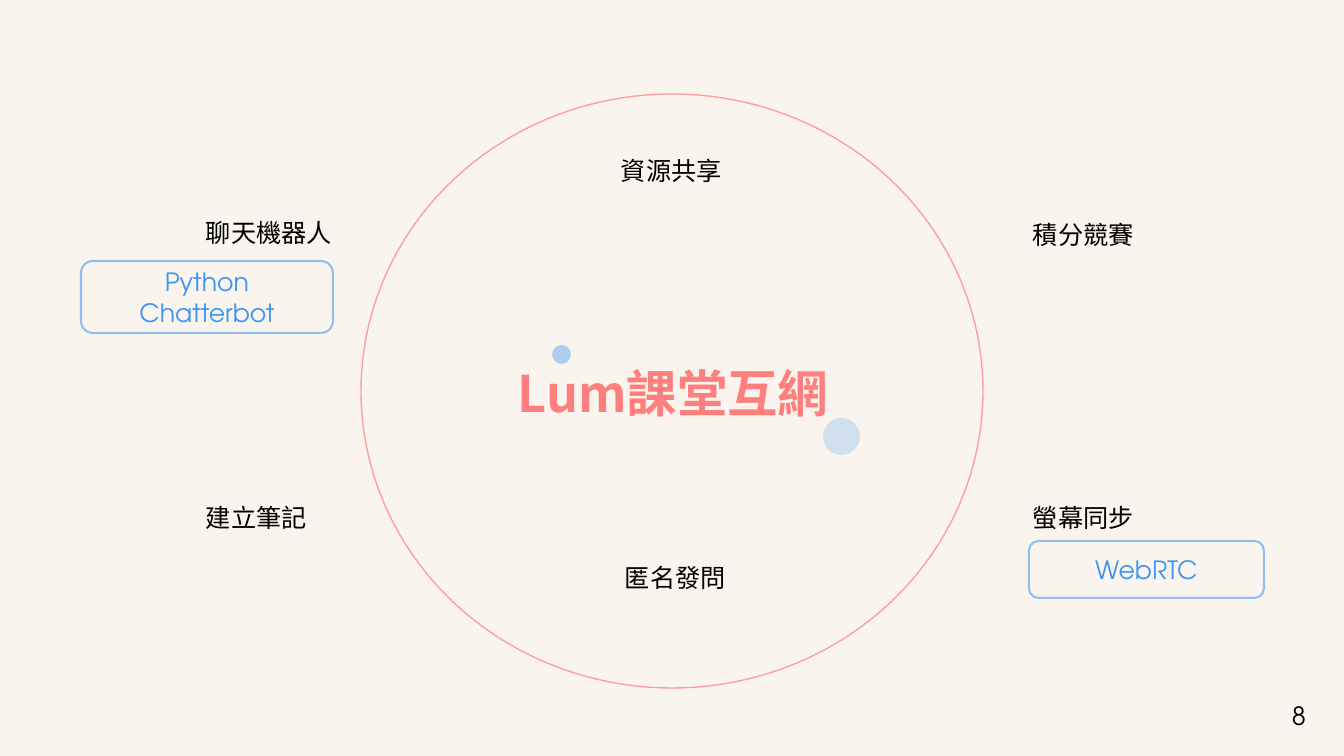
"""Build a slide of the features around a classroom site."""
from lxml import etree
from pptx import Presentation
from pptx.dml.color import RGBColor
from pptx.enum.shapes import MSO_SHAPE
from pptx.enum.text import MSO_ANCHOR, MSO_AUTO_SIZE, PP_ALIGN
from pptx.oxml.ns import qn
from pptx.util import Emu, Pt

OVAL, ROUND = MSO_SHAPE.OVAL, MSO_SHAPE.ROUNDED_RECTANGLE
TOP, MIDDLE = MSO_ANCHOR.TOP, MSO_ANCHOR.MIDDLE
CENTER, LEFT = PP_ALIGN.CENTER, PP_ALIGN.LEFT
FIXED = MSO_AUTO_SIZE.NONE

COLORS = {"page": "F9F5EE", "ring": "FD9EA1", "title": "FF7E7E",
          "blue": "3F94F1", "text": "000000"}
HEAD, BODY, LATIN = "Noto Sans CJK TC", "Noto Sans CJK SC", "TeX Gyre Adventor"

TITLE = ("Lum課堂互網", (504, 357, 338, 72))
RING = (361, 94, 622, 594)
DOTS = [((823, 418, 37, 37), 22), ((552, 345, 19, 19), 40)]
LABELS = [
    ("資源共享", 611, 150),
    ("積分競賽", 1023, 214),
    ("螢幕同步", 1023, 497),
    ("匿名發問", 615, 557),
    ("建立筆記", 196, 497),
    ("聊天機器人", 196, 212),
]
TAGS = [
    ("WebRTC", (1029, 541, 235, 57)),
    ("Python Chatterbot", (81, 261, 252, 72)),
]
PAGE = ("8", (1282, 695, 43, 40))
GLYPH, PAD, ROW = 25, 22, 40
SCALE = 914400 / 100.8


def emu(box):
    return [Emu(round(n * SCALE)) for n in box]


def rgb(name):
    return RGBColor.from_string(COLORS[name])


def fade(shape, share):
    for color in shape._element.spPr.iter(qn("a:srgbClr")):
        etree.SubElement(color, qn("a:alpha"), val=str(share * 1000))


def write(shape, text, face, color="text", size=18, bold=False,
          align=LEFT, anchor=TOP, wrap=True):
    frame = shape.text_frame
    frame.text = text
    frame.auto_size = FIXED
    frame.word_wrap = wrap
    frame.vertical_anchor = anchor
    para = frame.paragraphs[0]
    para.alignment = align
    run = para.runs[0]
    run.font.name, run.font.size, run.font.bold = face, Pt(size), bold
    run.font.color.rgb = rgb(color)
    etree.SubElement(run.font._element, qn("a:ea"), typeface=face)


def draw(slide, kind, box, fill=None, line=None, width=1):
    shape = slide.shapes.add_shape(kind, *emu(box))
    shape.shadow.inherit = False
    if fill:
        shape.fill.solid()
        shape.fill.fore_color.rgb = rgb(fill)
    else:
        shape.fill.background()
    if line:
        shape.line.color.rgb = rgb(line)
        shape.line.width = Pt(width)
    else:
        shape.line.fill.background()
    return shape


def main():
    deck = Presentation()
    deck.slide_width, deck.slide_height = emu((1344, 756))
    slide = deck.slides.add_slide(deck.slide_layouts[5])
    slide.background.fill.solid()
    slide.background.fill.fore_color.rgb = rgb("page")

    title = slide.shapes.title
    text, box = TITLE
    title.left, title.top, title.width, title.height = emu(box)
    write(title, text, HEAD, "title", 36, True, CENTER)

    draw(slide, OVAL, RING, line="ring")
    for box, share in DOTS:
        fade(draw(slide, OVAL, box, fill="blue"), share)

    for text, left, top in LABELS:
        box = (left, top, len(text) * GLYPH + PAD, ROW)
        write(slide.shapes.add_textbox(*emu(box)), text, BODY, wrap=False)

    for text, box in TAGS:
        tag = draw(slide, ROUND, box, line="blue", width=1.5)
        fade(tag, 55)
        write(tag, text, LATIN, "blue", align=CENTER, anchor=MIDDLE)

    text, box = PAGE
    write(slide.shapes.add_textbox(*emu(box)), text, LATIN)
    deck.save("out.pptx")


if __name__ == "__main__":
    main()
